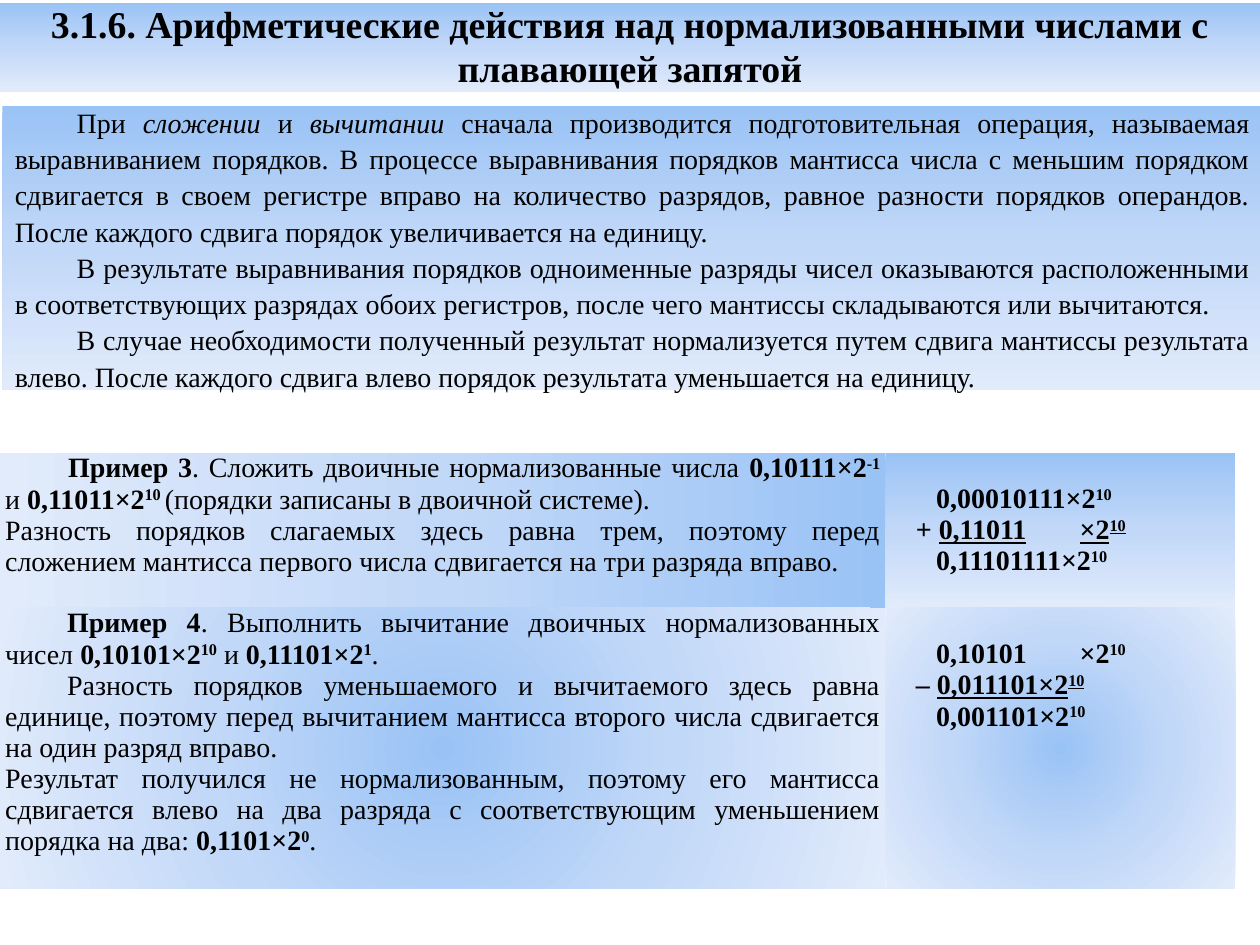
from dataclasses import dataclass
from lxml import etree
from pptx import Presentation
from pptx.dml.color import RGBColor
from pptx.enum.shapes import MSO_SHAPE
from pptx.enum.text import MSO_ANCHOR, PP_ALIGN
from pptx.oxml.ns import qn
from pptx.util import Pt

RECTANGLE = MSO_SHAPE.RECTANGLE
TOP, MIDDLE = MSO_ANCHOR.TOP, MSO_ANCHOR.MIDDLE
LEFT, CENTER, JUSTIFY = PP_ALIGN.LEFT, PP_ALIGN.CENTER, PP_ALIGN.JUSTIFY
NO_GRID = "{2D5ABB26-0587-4C30-8999-92F81FD0307C}"
DOWN, LEFTWARD, RADIAL = 90, 180, None


@dataclass(frozen=True)
class Theme:
    font: str = "Times New Roman"
    ink: str = "000000"
    blues: tuple = ("9AC3F5", "C2D8F8", "E1EBFB")
    title_size: float = 21.6
    body_size: float = 16


def write(paragraph, text, *, theme, size, bold=False, italic=False, underline=False, raised=False):
    run = paragraph.add_run()
    run.text = text
    font = run.font
    font.name, font.size = theme.font, Pt(size)
    font.bold, font.italic, font.underline = bold, italic, underline
    font.color.rgb = RGBColor.from_string(theme.ink)
    if raised:
        run.font._element.set("baseline", "30000")


def plain(text):
    return text, {}


def strong(text):
    return text, {"bold": True}


def slanted(text):
    return text, {"italic": True}


def power(mantissa, exponent, underline=False):
    base = {"bold": True, "underline": underline}
    return [(mantissa + "×2", base), (exponent, {**base, "raised": True})]


@dataclass
class Line:
    runs: list
    indent: float = 0
    tab: float = 0


def operand(mantissa, exponent, tab=0):
    return Line(power(mantissa, exponent), 26, tab)


def signed(sign, mantissa, exponent, tab=0):
    return Line([strong(sign + " "), *power(mantissa, exponent, True)], 14.4, tab)


class SlideBuilder:
    def __init__(self, slide, theme):
        self.slide, self.theme = slide, theme

    def gradient(self, properties, angle):
        fill = etree.SubElement(properties, qn("a:gradFill"), rotWithShape="1")
        stops = etree.SubElement(fill, qn("a:gsLst"))
        for index, blue in enumerate(self.theme.blues):
            stop = etree.SubElement(stops, qn("a:gs"), pos=str(index * 50000))
            etree.SubElement(stop, qn("a:srgbClr"), val=blue)
        if angle is RADIAL:
            center = etree.SubElement(fill, qn("a:path"))
            center.set("path", "circle")
            etree.SubElement(center, qn("a:fillToRect"), l="50000", t="50000", r="50000", b="50000")
        else:
            etree.SubElement(fill, qn("a:lin"), ang=str(angle * 60000), scaled="0")
        return fill

    def fill_text(self, frame, lines, align, size, spacing=None):
        for index, line in enumerate(lines):
            paragraph = frame.add_paragraph() if index else frame.paragraphs[0]
            paragraph.alignment = align
            paragraph.line_spacing = spacing
            properties = paragraph._p.get_or_add_pPr()
            properties.set("marL", "0")
            properties.set("indent", str(Pt(line.indent)))
            if line.tab:
                tabs = etree.SubElement(properties, qn("a:tabLst"))
                etree.SubElement(tabs, qn("a:tab"), pos=str(Pt(line.tab)), algn="l")
            for text, style in line.runs:
                write(paragraph, text, theme=self.theme, size=size, **style)

    def panel(self, box, lines, align, size, spacing):
        panel = self.slide.shapes.add_shape(RECTANGLE, *map(Pt, box))
        panel.shadow.inherit = False
        panel.line.fill.background()
        panel.fill.background()
        properties = panel._element.spPr
        blank = properties.find(qn("a:noFill"))
        properties.replace(blank, self.gradient(properties, DOWN))
        frame = panel.text_frame
        frame.word_wrap, frame.vertical_anchor = True, MIDDLE
        self.fill_text(frame, lines, align, size, spacing)

    def table(self, left, top, widths, heights, cells):
        frame = self.slide.shapes.add_table(
            len(heights), len(widths), Pt(left), Pt(top), Pt(sum(widths)), Pt(sum(heights)))
        table = frame.table
        table.first_row = table.horz_banding = False
        table._tbl.tblPr.find(qn("a:tableStyleId")).text = NO_GRID
        for column, width in zip(table.columns, widths):
            column.width = Pt(width)
        for row, height, contents in zip(table.rows, heights, cells):
            row.height = Pt(height)
            for cell, content in zip(row.cells, contents):
                self.cell(cell, **content)

    def cell(self, cell, lines, align, angle, anchor=TOP, top=0):
        cell.margin_left = cell.margin_right = Pt(3)
        cell.margin_top, cell.margin_bottom = Pt(top), Pt(0)
        cell.vertical_anchor = anchor
        self.gradient(cell._tc.get_or_add_tcPr(), angle)
        self.fill_text(cell.text_frame, lines, align, self.theme.body_size)


TITLE = [Line([strong("3.1.6. Арифметические действия над нормализованными числами с плавающей запятой")])]
RULES = [
    Line([plain("При "), slanted("сложении"), plain(" и "), slanted("вычитании"),
          plain(" сначала производится подготовительная операция, называемая выравниванием порядков. "
                "В процессе выравнивания порядков мантисса числа с меньшим порядком сдвигается в своем "
                "регистре вправо на количество разрядов, равное разности порядков операндов. "
                "После каждого сдвига порядок увеличивается на единицу.")], 35.4),
    Line([plain("В результате выравнивания порядков одноименные разряды чисел оказываются расположенными "
                "в соответствующих разрядах обоих регистров, после чего мантиссы складываются "
                "или вычитаются.")], 35.4),
    Line([plain("В случае необходимости полученный результат нормализуется путем сдвига мантиссы "
                "результата влево. После каждого сдвига влево порядок результата уменьшается "
                "на единицу.")], 35.4),
]
ADDITION = [
    Line([strong("Пример 3"), plain(". Сложить двоичные нормализованные числа "),
          *power("0,10111", "-1"), plain(" и "), *power("0,11011", "10 "),
          plain("(порядки записаны в двоичной системе).")], 36),
    Line([plain("Разность порядков слагаемых здесь равна трем, поэтому перед сложением мантисса "
                "первого числа сдвигается на три разряда вправо.")]),
]
SUBTRACTION = [
    Line([strong("Пример 4"), plain(". Выполнить вычитание двоичных нормализованных чисел "),
          *power("0,10101", "10"), plain(" и "), *power("0,11101", "1"), plain(".")], 35.4),
    Line([plain("Разность порядков уменьшаемого и вычитаемого здесь равна единице, поэтому перед "
                "вычитанием мантисса второго числа сдвигается на один разряд вправо.")], 35.4),
    Line([plain("Результат получился не нормализованным, поэтому его мантисса сдвигается влево на два "
                "разряда с соответствующим уменьшением порядка на два: "),
          *power("0,1101", "0"), plain(".")]),
]
SUM = [operand("0,00010111", "10"), signed("+", "0,11011\t", "10", tab=101), operand("0,11101111", "10")]
DIFFERENCE = [operand("0,10101\t", "10", tab=86), signed("–", "0,011101", "10"), operand("0,001101", "10")]

deck = Presentation()
deck.slide_width, deck.slide_height = Pt(720), Pt(540)
theme = Theme()
builder = SlideBuilder(deck.slides.add_slide(deck.slide_layouts[6]), theme)
builder.panel((0, 1.5, 720, 51), TITLE, CENTER, theme.title_size, 0.98)
builder.table(0, 258.8, (506, 200), (88.6, 160.4), [
    [dict(lines=ADDITION, align=JUSTIFY, angle=LEFTWARD),
     dict(lines=SUM, align=LEFT, angle=DOWN, anchor=MIDDLE)],
    [dict(lines=SUBTRACTION, align=JUSTIFY, angle=RADIAL),
     dict(lines=DIFFERENCE, align=LEFT, angle=RADIAL, top=17.7)],
])
builder.panel((1.4, 60.3, 720, 162.5), RULES, JUSTIFY, theme.body_size, 1.08)
deck.save("out.pptx")
